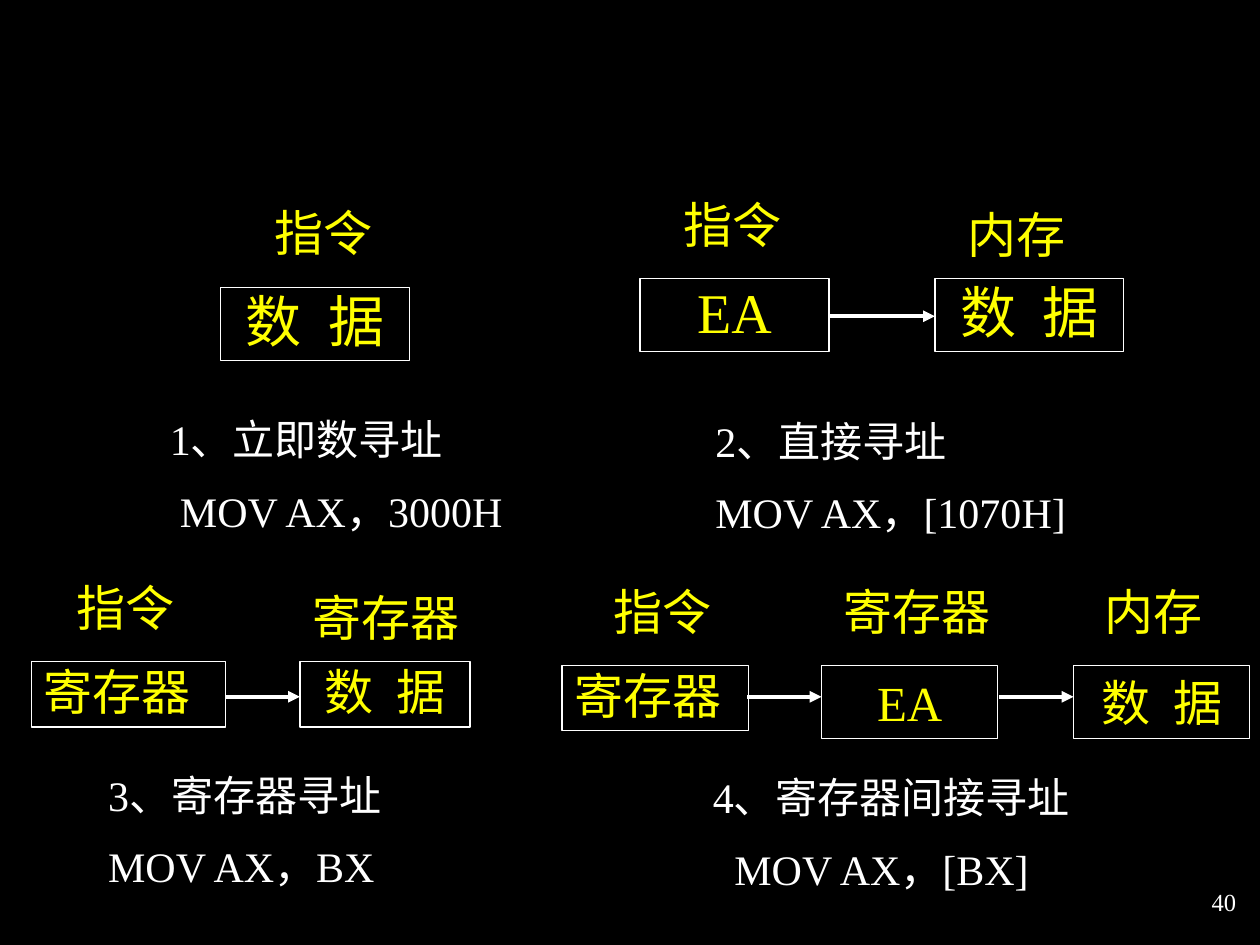
import pptx
import pptx.dml.color
import pptx.enum.shapes
import pptx.enum.text
import pptx.oxml
import pptx.oxml.ns
import pptx.util

Inches = pptx.util.Inches
Pt = pptx.util.Pt
Align = pptx.enum.text.PP_ALIGN
Anchor = pptx.enum.text.MSO_ANCHOR


def colour(hex_string):
    return pptx.dml.color.RGBColor.from_string(hex_string)


def drawing_element(tag, **attributes):
    element = pptx.oxml.parse_xml(f"<a:{tag} {pptx.oxml.ns.nsdecls('a')}/>")
    for name, value in attributes.items():
        element.set(name, value)
    return element


class SlideBuilder:
    FONT = "Times New Roman"
    BACKGROUND, WHITE, YELLOW = "000000", "FFFFFF", "FFFF00"
    LABEL_SIZE, CAPTION_SIZE, NUMBER_SIZE = 28, 24, 14

    def __init__(self, slide):
        self.slide = slide
        slide.background.fill.solid()
        slide.background.fill.fore_color.rgb = colour(self.BACKGROUND)

    def run(self, paragraph, text, size, hex_string):
        run = paragraph.add_run()
        run.text = text
        run.font.name = self.FONT
        run.font.size = Pt(size)
        run.font.color.rgb = colour(hex_string)
        return run

    def frame(self, shape, anchor):
        frame = shape.text_frame
        frame.word_wrap = True
        frame.vertical_anchor = anchor
        frame.margin_left = frame.margin_right = Inches(0.1)
        frame.margin_top = frame.margin_bottom = Inches(0.05)
        return frame

    def text(self, left, top, width, height, lines, size, hex_string,
             align=Align.LEFT, anchor=Anchor.TOP, last_indent=0):
        shape = self.slide.shapes.add_textbox(
            Inches(left), Inches(top), Inches(width), Inches(height))
        frame = self.frame(shape, anchor)
        for index, line in enumerate(lines):
            paragraph = frame.add_paragraph() if index else frame.paragraphs[0]
            paragraph.alignment = align
            paragraph.line_spacing = 0.9
            paragraph.space_before = Pt(size * 0.625)
            self.run(paragraph, line, size, hex_string)
        if last_indent:
            paragraph._p.get_or_add_pPr().set("indent", str(Inches(last_indent)))

    def label(self, left, top, width, text):
        self.text(left, top, width, 0.52, [text], self.LABEL_SIZE, self.YELLOW)

    def caption(self, left, top, width, height, title, code, indent=0):
        self.text(left, top, width, height, [title, code], self.CAPTION_SIZE,
                  self.WHITE, last_indent=indent)

    def box(self, left, top, width, height, text, size, align=Align.CENTER):
        shape = self.slide.shapes.add_shape(
            pptx.enum.shapes.MSO_SHAPE.RECTANGLE,
            Inches(left), Inches(top), Inches(width), Inches(height))
        shape.shadow.inherit = False
        shape.fill.background()
        shape.line.color.rgb = colour(self.WHITE)
        shape.line.width = Pt(0.75)
        paragraph = self.frame(shape, Anchor.BOTTOM).paragraphs[0]
        paragraph.alignment = align
        paragraph.line_spacing = 0.9
        for index, word in enumerate(text.split()):
            if index:
                # Widen the single space to half an em
                gap = self.run(paragraph, " ", size, self.YELLOW)
                gap._r.get_or_add_rPr().set("spc", str(size * 25))
            self.run(paragraph, word, size, self.YELLOW)

    def arrow(self, start, end, y):
        connector = self.slide.shapes.add_connector(
            pptx.enum.shapes.MSO_CONNECTOR.STRAIGHT,
            Inches(start), Inches(y), Inches(end), Inches(y))
        connector.line.color.rgb = colour(self.WHITE)
        connector.line.width = Pt(2.25)
        connector.line._get_or_add_ln().append(
            drawing_element("tailEnd", type="triangle"))
        connector._element.spPr.append(drawing_element("effectLst"))


def main():
    presentation = pptx.Presentation()
    presentation.slide_width = Inches(10)
    presentation.slide_height = Inches(7.5)
    builder = SlideBuilder(
        presentation.slides.add_slide(presentation.slide_layouts[6]))

    # Slide number
    builder.text(7.83, 6.92, 2.08, 0.5, ["40"], builder.NUMBER_SIZE,
                 builder.WHITE, Align.RIGHT, Anchor.MIDDLE)

    # 1: immediate addressing
    builder.label(2.08, 1.61, 1.08, "指令")
    builder.box(1.75, 2.28, 1.5, 0.58, "数 据", 32)
    builder.caption(1.25, 3.28, 2.92, 1.39,
                    "1、立即数寻址", "MOV AX，3000H", 0.08)

    # 2: direct addressing
    builder.label(5.33, 1.55, 1.08, "指令")
    builder.label(7.58, 1.63, 1.08, "内存")
    for left, text in ((5.08, "EA"), (7.42, "数 据")):
        builder.box(left, 2.21, 1.5, 0.58, text, 32)
    builder.arrow(6.58, 7.42, 2.51)
    builder.caption(5.58, 3.29, 3.33, 1.03, "2、直接寻址", "MOV AX，[1070H]")

    # 3: register addressing
    builder.label(0.51, 4.59, 1.19, "指令")
    builder.label(2.38, 4.67, 1.45, "寄存器")
    builder.box(0.25, 5.25, 1.54, 0.52, "寄存器", 28, Align.LEFT)
    builder.box(2.38, 5.25, 1.35, 0.52, "数 据", 28)
    builder.arrow(1.79, 2.38, 5.53)
    builder.caption(0.76, 6.1, 2.82, 1.03, "3、寄存器寻址", "MOV AX，BX")

    # 4: register indirect addressing
    for left, width, text in ((4.77, 1.01, "指令"), (6.6, 1.4, "寄存器"),
                              (8.67, 1.01, "内存")):
        builder.label(left, 4.62, width, text)
    builder.box(4.46, 5.28, 1.48, 0.52, "寄存器", 28, Align.LEFT)
    for left, text in ((6.52, "EA"), (8.52, "数 据")):
        builder.box(left, 5.28, 1.4, 0.58, text, 28)
    for start, end in ((5.93, 6.52), (7.93, 8.52)):
        builder.arrow(start, end, 5.53)
    builder.caption(5.56, 6.12, 3.11, 1.39,
                    "4、寄存器间接寻址", "MOV AX，[BX]", 0.17)

    presentation.save("out.pptx")


if __name__ == "__main__":
    main()
